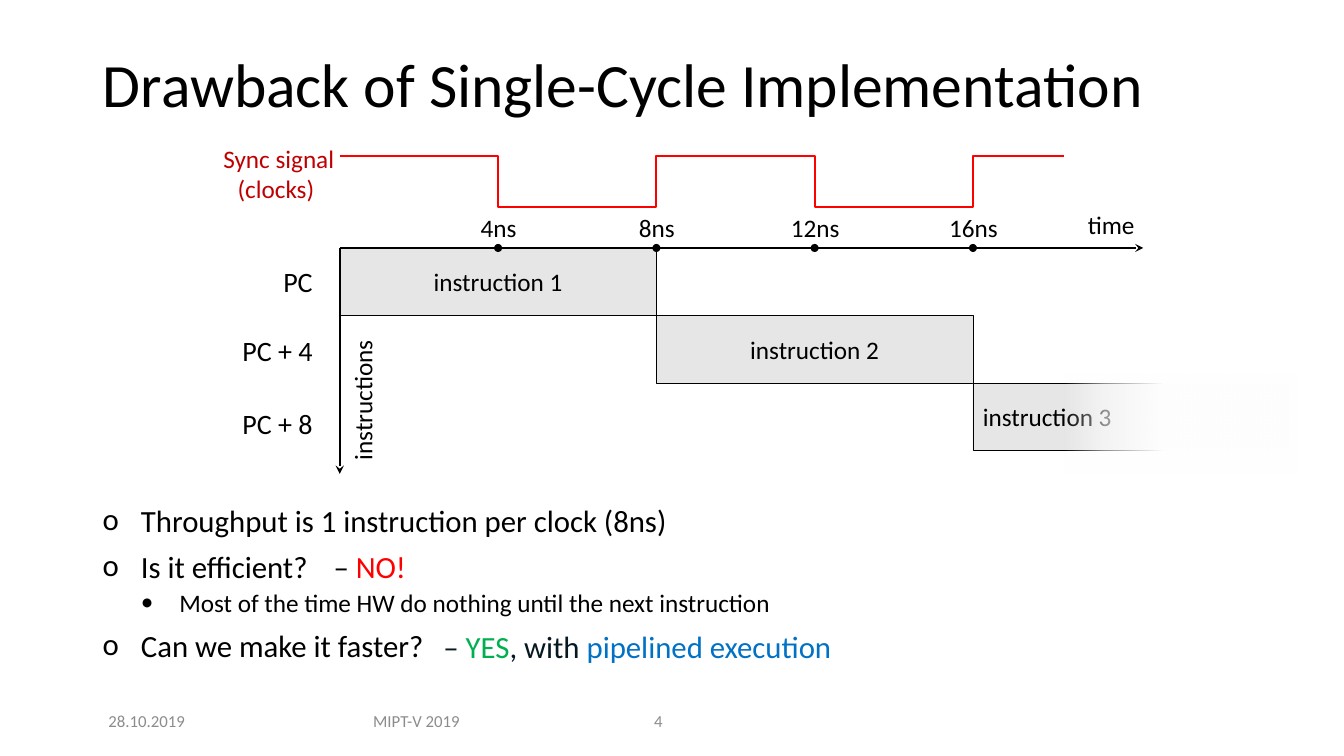
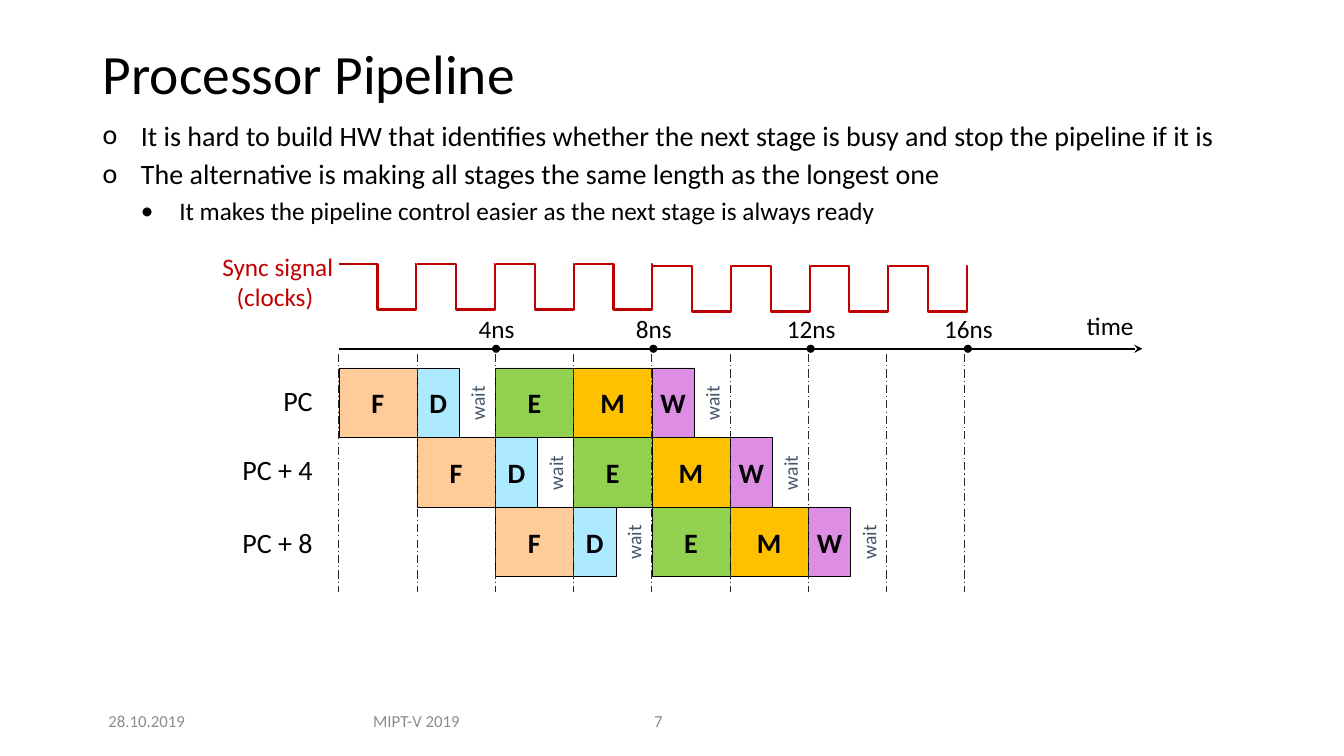
from itertools import product

from pptx import Presentation
from pptx.dml.color import RGBColor
from pptx.enum.dml import MSO_LINE
from pptx.enum.shapes import MSO_CONNECTOR, MSO_SHAPE
from pptx.enum.text import MSO_ANCHOR as Anchor, PP_ALIGN as Align
from pptx.oxml import parse_xml
from pptx.oxml.ns import nsdecls, qn
from pptx.util import Inches, Pt

# Shared style
FONT = "Calibri"
BLACK = RGBColor(0x00, 0x00, 0x00)
GRAY = RGBColor(0x8C, 0x8C, 0x8C)
LIGHT = RGBColor(0xE7, 0xE6, 0xE6)
RED = RGBColor(0xFF, 0x00, 0x00)
DARK_RED = RGBColor(0xC0, 0x00, 0x00)
GREEN = RGBColor(0x00, 0xB0, 0x50)
BLUE = RGBColor(0x00, 0x71, 0xC5)
INK = RGBColor(0x06, 0x19, 0x22)
SLATE = RGBColor(0x44, 0x54, 0x6A)
GUIDE = RGBColor(0x22, 0x2A, 0x35)
PEACH = RGBColor(0xFF, 0xCC, 0x99)
SKY = RGBColor(0xAD, 0xE9, 0xFF)
LIME = RGBColor(0x92, 0xD0, 0x50)
AMBER = RGBColor(0xFF, 0xC0, 0x00)
VIOLET = RGBColor(0xDD, 0x8D, 0xE3)
MARGIN, CONTENT_WIDTH = 0.92, 11.5

# Content: bullets are (level, text)
DRAWBACKS = [
    (0, "Throughput is 1 instruction per clock (8ns)"),
    (0, "Is it efficient?"),
    (1, "Most of the time HW do nothing until the next instruction"),
    (0, "Can we make it faster?"),
]
ANSWERS = [  # left, top, width, runs
    (3.21, 5.38, 0.93, [("– ", BLACK), ("NO!", RED)]),
    (4.3, 6.18, 4.13, [("– ", INK), ("YES", GREEN), (", with ", INK),
                       ("pipelined execution", BLUE)]),
]
PIPELINE_NOTES = [
    (0, "It is hard to build HW that identifies whether the next stage is busy "
        "and stop the pipeline if it is"),
    (0, "The alternative is making all stages the same length as the longest one"),
    (1, "It makes the pipeline control easier as the next stage is always ready"),
]
INSTRUCTIONS = [("instruction 1", Align.CENTER), ("instruction 2", Align.CENTER),
                ("instruction 3", Align.LEFT)]
STAGES = [  # letter, fill, shorter than a clock
    ("F", PEACH, False), ("D", SKY, True), ("E", LIME, False),
    ("M", AMBER, False), ("W", VIOLET, True),
]
COUNTERS = [("PC", 0), ("PC + 4", 0.69), ("PC + 8", 1.41)]
TICKS = ["4ns", "8ns", "12ns", "16ns"]
FOOTERS = [("28.10.2019", 0.92, 1.07, Align.CENTER),
           ("MIPT-V 2019", 3.34, 1.58, Align.CENTER)]
NUMBER_LEFT, NUMBER_WIDTH = 6.39, 0.79


# Helpers
def set_font(para, size, color=BLACK, bold=None):
    para.font.name, para.font.size = FONT, Pt(size)
    para.font.color.rgb = color
    para.font.bold = bold


def add_text(page, box, lines, size, color=BLACK, align=Align.LEFT,
             anchor=Anchor.TOP, wrap=False, rotation=0):
    shape = page.shapes.add_textbox(*map(Inches, box))
    shape.rotation = rotation
    frame = shape.text_frame
    frame.word_wrap = wrap
    frame.vertical_anchor = anchor
    frame.text = lines
    for para in frame.paragraphs:
        para.alignment = align
        set_font(para, size, color)
    return shape


def add_block(page, kind, box, fill, line_width=None):
    shape = page.shapes.add_shape(kind, *map(Inches, box))
    shape.shadow.inherit = False
    shape.fill.solid()
    shape.fill.fore_color.rgb = fill
    if line_width is None:
        shape.line.fill.background()
    else:
        shape.line.color.rgb = BLACK
        shape.line.width = Pt(line_width)
    return shape


def add_label_block(page, box, fill, line_width, text, size, align=Align.CENTER,
                    bold=None, wrap=True):
    frame = add_block(page, MSO_SHAPE.RECTANGLE, box, fill, line_width).text_frame
    frame.word_wrap = wrap
    frame.vertical_anchor = Anchor.MIDDLE
    frame.text = text
    para = frame.paragraphs[0]
    para.alignment = align
    set_font(para, size, bold=bold)


def add_line(page, start, end, color, width, dash=None, arrow=False):
    line = page.shapes.add_connector(MSO_CONNECTOR.STRAIGHT,
                                     *map(Inches, (*start, *end)))
    line.line.color.rgb = color
    line.line.width = Pt(width)
    if dash is not None:
        line.line.dash_style = dash
    props = line._element.spPr
    if arrow:
        props.find(qn("a:ln")).append(
            parse_xml(f'<a:tailEnd {nsdecls("a")} type="stealth"/>'))
    props.append(parse_xml(f'<a:effectLst {nsdecls("a")}/>'))


def add_wave(page, left, high, low, half, halves, color, tail=0):
    """Square wave that starts high and switches level after every half."""
    points, levels = [], (high, low)
    for index in range(halves):
        edge = left + (index + 1) * half
        points += [(edge, levels[index % 2]), (edge, levels[(index + 1) % 2])]
    if tail:
        points.append((points[-1][0] + tail, points[-1][1]))
    builder = page.shapes.build_freeform(Inches(left), Inches(high))
    builder.add_line_segments([(Inches(x), Inches(y)) for x, y in points], close=False)
    wave = builder.convert_to_shape()
    wave.shadow.inherit = False
    wave.fill.background()
    wave.line.color.rgb = color
    wave.line.width = Pt(1.5)


def add_bullets(page, top, height, items, sizes, line_spacing, gaps):
    box = page.shapes.add_textbox(*map(Inches, (MARGIN, top, CONTENT_WIDTH, height)))
    frame = box.text_frame
    frame.word_wrap = True
    for index, (level, text) in enumerate(items):
        para = frame.add_paragraph() if index else frame.paragraphs[0]
        para.text = text
        para.level = level
        props = para._p.get_or_add_pPr()
        props.set("marL", str(Inches(0.38 * (level + 1))))
        props.set("indent", str(Inches(-0.38)))
        props.append(parse_xml(f'<a:buFont {nsdecls("a")} typeface="{FONT}"/>'))
        props.append(parse_xml(f'<a:buChar {nsdecls("a")} char="{"o•"[level]}"/>'))
        para.line_spacing = line_spacing
        if index:
            para.space_before = Pt(gaps[level])
        set_font(para, sizes[level])


def add_page(deck, title, title_size, title_height, number):
    page = deck.slides.add_slide(deck.slide_layouts[5])
    holder = page.shapes.title
    holder.left, holder.top = Inches(MARGIN), Inches(0.4)
    holder.width, holder.height = Inches(CONTENT_WIDTH), Inches(title_height)
    holder.text_frame.text = title
    holder.text_frame.vertical_anchor = Anchor.MIDDLE
    para = holder.text_frame.paragraphs[0]
    para.alignment, para.line_spacing = Align.LEFT, 0.9
    set_font(para, title_size)
    for text, left, width, align in [
            *FOOTERS, (number, NUMBER_LEFT, NUMBER_WIDTH, Align.LEFT)]:
        add_text(page, (left, 6.95, width, 0.4), text, 12, GRAY, align,
                 Anchor.MIDDLE, wrap=True)
    return page


def add_timeline(page, left, axis, step, sync_top, counters_top):
    """Time axis with ticks, the sync caption and the program counters."""
    add_text(page, (left - 1.26, sync_top, 1.31, 0.71), "Sync signal\n(clocks) ",
             18, DARK_RED, Align.CENTER)
    for text, offset in COUNTERS:
        add_text(page, (2.07, counters_top + offset, 1.13, 0.44), text, 20,
                 align=Align.RIGHT, anchor=Anchor.MIDDLE, wrap=True)
    add_line(page, (left, axis), (left + 7.97, axis), BLACK, 1.5, arrow=True)
    add_text(page, (left + 7.32, axis - 0.43, 0.68, 0.4), "time", 18)
    for index, text in enumerate(TICKS, 1):
        tick = left + index * step
        add_block(page, MSO_SHAPE.OVAL, (tick - 0.04, axis - 0.04, 0.08, 0.08), BLACK)
        add_text(page, (tick - 0.34, axis - 0.4, 0.69, 0.4), text, 18,
                 align=Align.CENTER)


def build_drawback(deck):
    page = add_page(deck, "Drawback of Single-Cycle Implementation", 44, 0.93, "4")
    left, axis, step = 3.37, 2.46, 1.57
    width, height = 2 * step, 0.67

    # Each instruction takes two ticks and one row
    for row, (text, align) in enumerate(INSTRUCTIONS):
        box = (left + row * width, axis + row * height, width, height)
        add_label_block(page, box, LIGHT, 0.5, text, 18, align)
    add_timeline(page, left, axis, step, 1.37, 2.57)
    add_wave(page, left, 1.55, 2.05, step, 4, RED, tail=0.9)
    add_line(page, (left, axis), (left, 4.7), BLACK, 1.5, arrow=True)
    add_text(page, (2.9, 3.77, 1.39, 0.4), "instructions", 18, rotation=270)

    # White fade over the last instruction
    fade = add_block(page, MSO_SHAPE.RECTANGLE, (10.56, 3.7, 2.3, 1), LIGHT)
    stops = "".join(
        f'<a:gs pos="{place}000"><a:srgbClr val="FFFFFF">'
        f'<a:alpha val="{opacity}000"/></a:srgbClr></a:gs>'
        for place, opacity in [(0, 0), (17, 55), (43, 100)])
    props = fade._element.spPr
    props.replace(props.find(qn("a:solidFill")), parse_xml(
        f'<a:gradFill {nsdecls("a")}><a:gsLst>{stops}</a:gsLst>'
        '<a:lin ang="0" scaled="0"/></a:gradFill>'))

    # Bullets and the answers beside them
    add_bullets(page, 5, 1.69, DRAWBACKS, (22, 18), 0.8, (12, 6))
    for x, y, box_width, runs in ANSWERS:
        para = add_text(page, (x, y, box_width, 0.47), "", 22).text_frame.paragraphs[0]
        for text, color in runs:
            span = para.add_run()
            span.text = text
            span.font.color.rgb = color


def build_pipeline(deck):
    page = add_page(deck, "Processor Pipeline", 39.6, 0.72, "7")
    add_bullets(page, 1.16, 1.71, PIPELINE_NOTES, (20, 18), 0.9, (6, 6))
    left, top, axis = 3.36, 3.65, 3.46
    clocks = 8
    slot, row_height, short = 6.21 / clocks, 0.69, 0.42

    # Every row starts one clock later
    for row, (column, stage) in product(range(len(COUNTERS)), enumerate(STAGES)):
        letter, fill, is_short = stage
        x, y = left + (row + column) * slot, top + row * row_height
        if is_short:
            add_text(page, (x + 0.33, y + 0.18, 0.54, 0.34), "wait", 14, SLATE,
                     rotation=270)
        add_label_block(page, (x, y, short if is_short else slot, row_height), fill,
                        0.25, letter, 20, bold=True, wrap=False)
    add_timeline(page, left, axis, 1.56, 2.44, 3.75)

    # Clock borders and pulses; the second half of the pulses sits slightly lower
    for clock in range(clocks + 1):
        x = left + clock * slot
        add_line(page, (x, 3.51), (x, 5.87), GUIDE, 0.75, MSO_LINE.LONG_DASH_DOT)
    for clock in range(clocks):
        high = 2.62 if clock < clocks / 2 else 2.64
        add_wave(page, left + clock * 0.78, high, high + 0.45, 0.385, 2, DARK_RED,
                 tail=-0.01)


def main():
    deck = Presentation()
    deck.slide_width, deck.slide_height = Inches(13.33), Inches(7.5)
    build_drawback(deck)
    build_pipeline(deck)
    deck.save("out.pptx")


if __name__ == "__main__":
    main()
